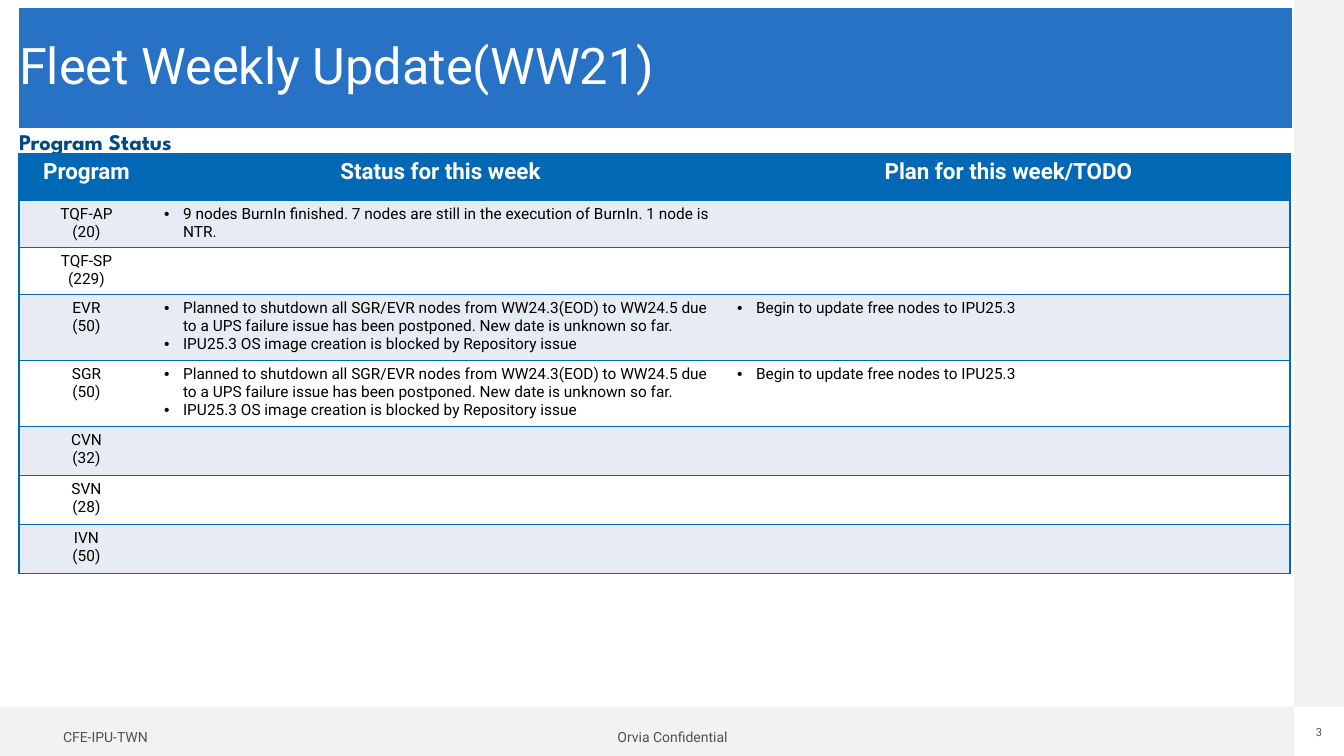
from lxml import etree
from pptx import Presentation
from pptx.dml.color import RGBColor
from pptx.enum.shapes import MSO_SHAPE
from pptx.enum.text import MSO_ANCHOR, PP_ALIGN
from pptx.oxml.ns import qn
from pptx.util import Pt

RECTANGLE = MSO_SHAPE.RECTANGLE
MIDDLE = MSO_ANCHOR.MIDDLE
LEFT, CENTER = PP_ALIGN.LEFT, PP_ALIGN.CENTER
SCALE = 914400 / 100.8
BLUE, STRIPE, WHITE, GREY = "0068B5", "E7EBF3", "FFFFFF", "525252"


def px(*lengths):
    return [round(length * SCALE) for length in lengths]


def color(value):
    return RGBColor.from_string(value)


deck = Presentation()
deck.slide_width, deck.slide_height = px(1344, 756)
page = deck.slides.add_slide(deck.slide_layouts[5])

for bounds in [(0, 707, 1294, 49), (1294, 0, 50, 707)]:
    band = page.shapes.add_shape(RECTANGLE, *px(*bounds))
    band.shadow.inherit = False
    band.fill.solid()
    band.fill.fore_color.rgb = color("F2F2F2")
    band.line.fill.background()

title = page.shapes.title
title.left, title.top, title.width, title.height = px(19, 8, 1273, 120)
title.fill.solid()
title.fill.fore_color.rgb = color("2872C5")

labels = [
    ("CFE-IPU-TWN", (63, 724, 111, 25), 10, "Roboto", GREY, False, LEFT),
    ("Orvia Confidential", (607, 724, 131, 25), 10, "Roboto", GREY, False, CENTER),
    ("3", (1312, 726, 14, 13), 8, "Roboto", GREY, False, CENTER),
    ("Program Status", (19, 128, 163, 27), 16, "League Spartan", "004A86", True, LEFT),
]
texts = [(title, "Fleet Weekly Update(WW21)", 36, "Roboto", WHITE, False, LEFT)]
for words, bounds, *style in labels:
    texts.append((page.shapes.add_textbox(*px(*bounds)), words, *style))

for box, words, size, font, ink, bold, align in texts:
    frame = box.text_frame
    frame.margin_left = frame.margin_right = frame.margin_top = frame.margin_bottom = 0
    frame.word_wrap = box is title
    frame.vertical_anchor = MIDDLE
    para = frame.paragraphs[0]
    para.text = words
    para.alignment = align
    para.font.size, para.font.name, para.font.bold = Pt(size), font, bold
    para.font.color.rgb = color(ink)
title.text_frame.paragraphs[0].line_spacing = 0.9

outage = [
    "Planned to shutdown all SGR/EVR nodes from WW24.3(EOD) to WW24.5 due to a UPS "
    "failure issue has been postponed. New date is unknown so far.",
    "IPU25.3 OS image creation is blocked by Repository issue",
]
update = ["Begin to update free nodes to IPU25.3"]
burn_in = ["9 nodes BurnIn finished. 7 nodes are still in the execution of BurnIn. 1 node is NTR."]
rows = [
    (46, "Program", ["Status for this week"], ["Plan for this week/TODO"]),
    (47, "TQF-AP\n(20)", burn_in, []),
    (47, "TQF-SP\n(229)", [], []),
    (66, "EVR\n(50)", outage, update),
    (66, "SGR\n(50)", outage, update),
    (49, "CVN\n(32)", [], []),
    (49, "SVN\n(28)", [], []),
    (49, "IVN\n(50)", [], []),
]
columns = px(135, 573, 563)
table = page.shapes.add_table(len(rows), len(columns), *px(19, 154, 1271, 419)).table
for column, width in zip(table.columns, columns):
    column.width = width

for row_index, (height, program, status, plan) in enumerate(rows):
    table.rows[row_index].height = px(height)[0]
    header = row_index == 0
    for column_index, lines in enumerate([[program], status, plan]):
        cell = table.cell(row_index, column_index)
        cell.fill.solid()
        cell.fill.fore_color.rgb = color(BLUE if header else STRIPE if row_index % 2 else WHITE)
        properties = cell._tc.get_or_add_tcPr()
        visible = {"lnL": column_index == 0, "lnR": column_index == 2, "lnT": True, "lnB": True}
        for position, (side, shown) in enumerate(visible.items()):
            line = etree.Element(qn(f"a:{side}"), w=str(Pt(1)))
            properties.insert(position, line)
            if shown:
                paint = etree.SubElement(line, qn("a:solidFill"))
                etree.SubElement(paint, qn("a:srgbClr"), val=BLUE)
            else:
                etree.SubElement(line, qn("a:noFill"))

        for line_index, words in enumerate(lines):
            frame = cell.text_frame
            para = frame.add_paragraph() if line_index else frame.paragraphs[0]
            para.text = words
            para.font.name = "Roboto"
            para.font.size = Pt(16 if header else 11)
            para.font.bold = header
            para.font.color.rgb = color(WHITE if header else "000000")
            if header or column_index == 0:
                para.alignment = CENTER
            else:
                indent = px(19)[0]
                settings = para._p.get_or_add_pPr()
                settings.set("marL", str(indent))
                settings.set("indent", str(-indent))
                bullet_font = etree.Element(qn("a:buFont"), typeface="Arial")
                settings.insert(0, bullet_font)
                bullet_font.addnext(etree.Element(qn("a:buChar"), char="•"))

deck.save("out.pptx")
